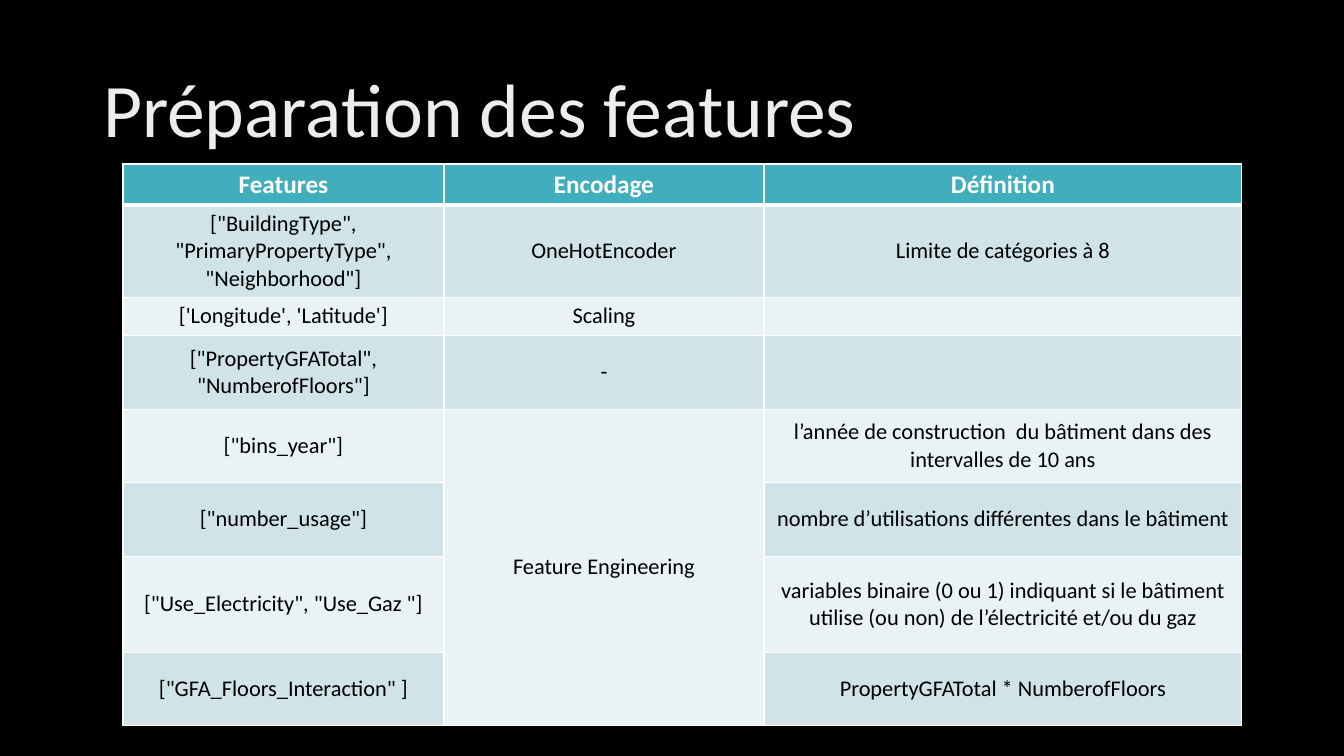
"""Build the feature preparation slide with its encoding table."""
from lxml.etree import SubElement
from pptx import Presentation
from pptx.dml.color import RGBColor
from pptx.enum.text import MSO_ANCHOR, PP_ALIGN
from pptx.oxml.ns import qn
from pptx.util import Emu, Pt

EMU_PER_PX = 914400 / 100.8
FONT = "Calibri"
BLACK = RGBColor(0x00, 0x00, 0x00)
WHITE = RGBColor(0xFF, 0xFF, 0xFF)
TITLE_GREY = RGBColor(0xED, 0xED, 0xED)
HEADER_TEAL = RGBColor(0x41, 0xAE, 0xBD)
BANDS = (RGBColor(0xE9, 0xF2, 0xF4), RGBColor(0xCF, 0xE3, 0xE8))

COLUMN_WIDTHS = (321, 320, 478)
ROW_HEIGHTS = (41, 92, 38, 74, 73, 74, 96, 73)
MERGED_ROWS = (4, 7)
ROWS = (
    ("Features", "Encodage", "Définition"),
    ('["BuildingType", "PrimaryPropertyType", "Neighborhood"]', "OneHotEncoder", "Limite de catégories à 8"),
    ("['Longitude', 'Latitude']", "Scaling", ""),
    ('["PropertyGFATotal", "NumberofFloors"]', "-", ""),
    ('["bins_year"]', "Feature Engineering",
     "l’année de construction  du bâtiment dans des intervalles de 10 ans"),
    ('["number_usage"]', "", "nombre d’utilisations différentes dans le bâtiment"),
    ('["Use_Electricity", "Use_Gaz "]', "",
     "variables binaire (0 ou 1) indiquant si le bâtiment utilise (ou non) de l’électricité et/ou du gaz"),
    ('["GFA_Floors_Interaction" ]', "", "PropertyGFATotal * NumberofFloors"),
)


def px(length):
    """Turn a length in pixels into EMU."""
    return Emu(round(length * EMU_PER_PX))


def set_font(para, size, color, bold=False):
    """Set the font of a whole paragraph."""
    para.font.name = FONT
    para.font.size = Pt(size)
    para.font.bold = bold
    para.font.color.rgb = color


def add_title(page, text):
    """Place and format the title placeholder."""
    title = page.shapes.title
    title.left, title.top, title.width, title.height = px(93), px(40), px(1159), px(146)
    frame = title.text_frame
    frame.text = text
    frame.word_wrap = True
    frame.vertical_anchor = MSO_ANCHOR.MIDDLE
    para = frame.paragraphs[0]
    para.alignment = PP_ALIGN.LEFT
    para.line_spacing = 0.9
    set_font(para, 54, TITLE_GREY)


def set_borders(cell, widths):
    """Draw white cell borders, given widths in points by side."""
    properties = cell._tc.get_or_add_tcPr()
    for side, width in widths.items():
        line = SubElement(properties, qn(f"a:ln{side}"), w=str(Pt(width)))
        fill = SubElement(line, qn("a:solidFill"))
        SubElement(fill, qn("a:srgbClr"), val=str(WHITE))


def format_cell(cell, text, row):
    """Fill one cell with its text, borders and band colour."""
    header = row == 0
    set_borders(cell, {"L": 1, "R": 1, "T": 3 if row == 1 else 1, "B": 3 if header else 1})
    cell.fill.solid()
    cell.fill.fore_color.rgb = HEADER_TEAL if header else BANDS[row % 2]
    cell.vertical_anchor = MSO_ANCHOR.MIDDLE
    cell.text = text
    para = cell.text_frame.paragraphs[0]
    para.alignment = PP_ALIGN.CENTER
    set_font(para, 18 if header else 16, WHITE if header else BLACK, header)


def add_feature_table(page):
    """Add the table of features, encodings and definitions."""
    frame = page.shapes.add_table(
        len(ROWS), len(COLUMN_WIDTHS), px(123), px(164), px(sum(COLUMN_WIDTHS)), px(sum(ROW_HEIGHTS)))
    table = frame.table
    for column, width in zip(table.columns, COLUMN_WIDTHS):
        column.width = px(width)
    for row, height in zip(table.rows, ROW_HEIGHTS):
        row.height = px(height)
    for row, texts in enumerate(ROWS):
        for column, text in enumerate(texts):
            format_cell(table.cell(row, column), text, row)
    first, last = MERGED_ROWS
    table.cell(first, 1).merge(table.cell(last, 1))


def main():
    """Build and save the deck."""
    deck = Presentation()
    deck.slide_width, deck.slide_height = px(1344), px(756)
    page = deck.slides.add_slide(deck.slide_layouts[5])
    page.background.fill.solid()
    page.background.fill.fore_color.rgb = BLACK
    add_title(page, "Préparation des features")
    add_feature_table(page)
    deck.save("out.pptx")


if __name__ == "__main__":
    main()
